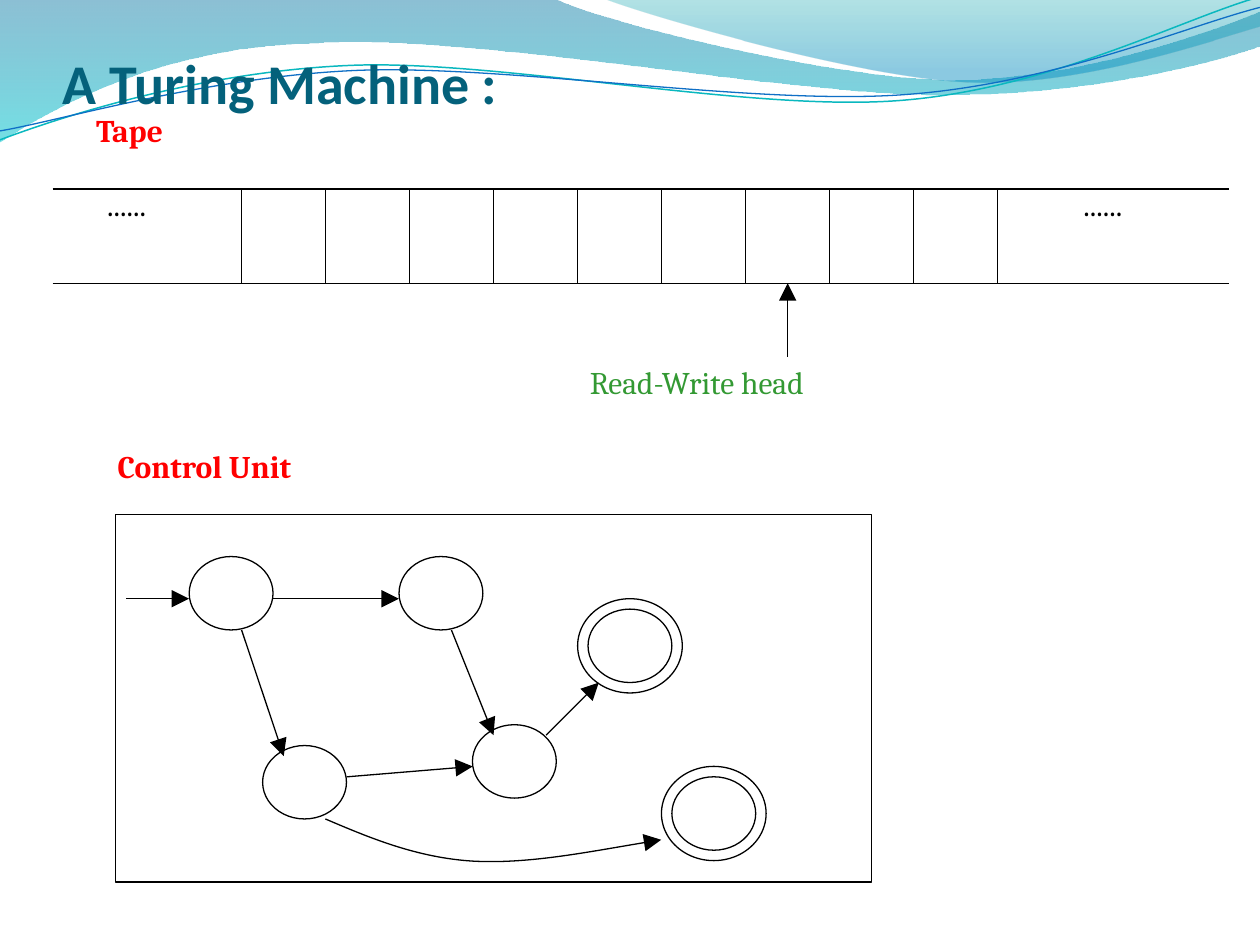
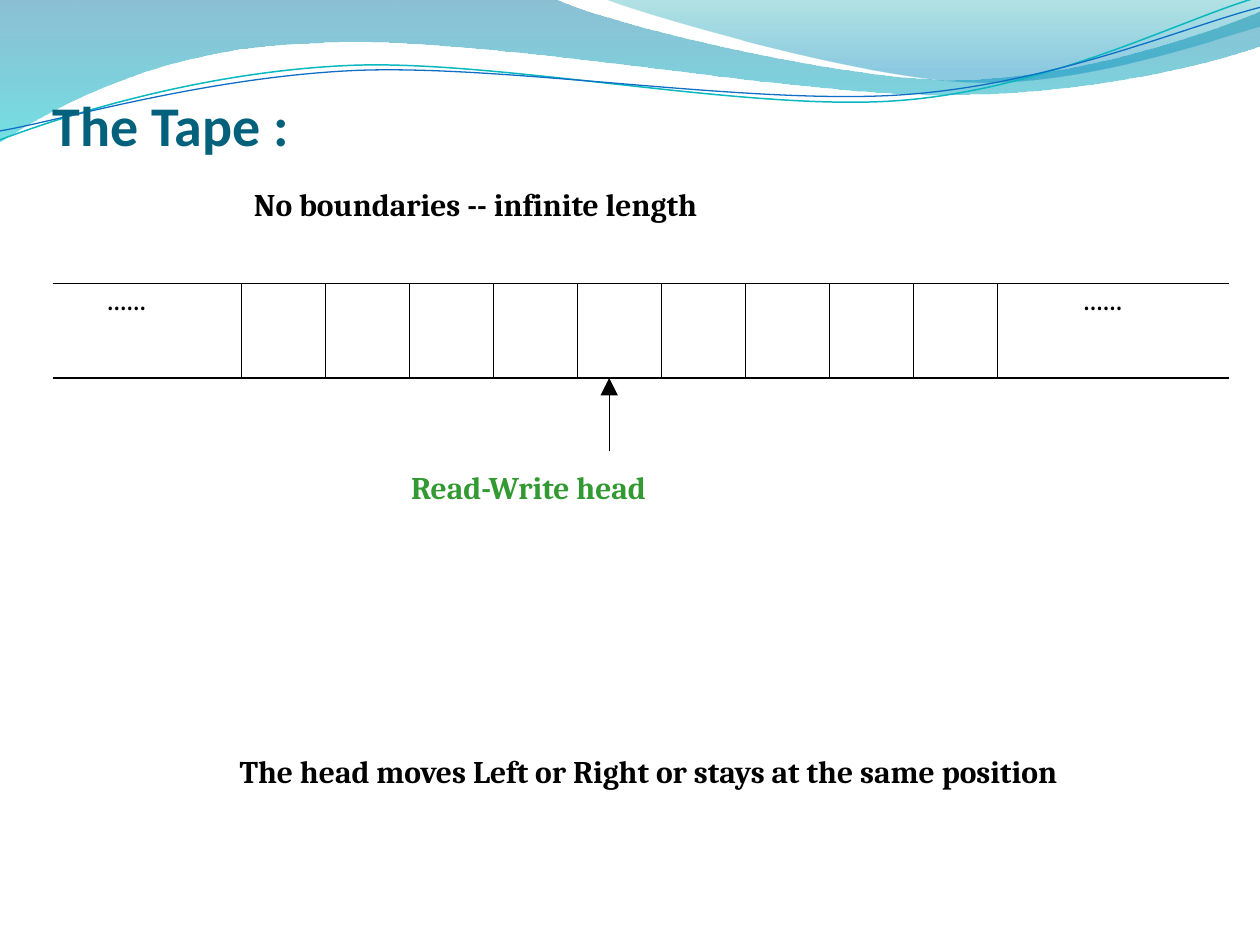
from dataclasses import dataclass
from itertools import chain

from lxml import etree
from pptx import Presentation
from pptx.dml.color import RGBColor
from pptx.enum import shapes as kinds, text as texts
from pptx.oxml import ns
from pptx.util import Cm, Pt

Point = tuple[float, float]


@dataclass(frozen=True)
class Theme:
    """Colours, fonts and sizes shared by the slides."""
    title: str = "04617B"
    ink: str = "000000"
    label: str = "FF0000"
    head: str = "339933"
    title_font: str = "Calibri"
    body_font: str = "Cambria"
    title_size: float = 32
    body_size: float = 18
    line_width: float = 0.75


THEME = Theme()


@dataclass(frozen=True)
class Stop:
    """A gradient stop with its opacity in percent."""
    position: float
    colour: str
    opacity: int


@dataclass(frozen=True)
class Outline:
    """A path whose steps hold one point (line) or three (curve)."""
    start: Point
    steps: tuple[tuple[Point, ...], ...]
    stops: tuple[Stop, ...] = ()
    colour: str = THEME.ink
    width: float = THEME.line_width
    arrow: bool = False


@dataclass(frozen=True)
class Label:
    """A line of body text at a place on the slide."""
    words: str
    left: float
    top: float
    width: float
    height: float = 1.02
    colour: str = THEME.ink
    bold: bool = True


@dataclass(frozen=True)
class State:
    """A state of the automaton, placed by its centre."""
    x: float
    y: float
    accepting: bool = False


@dataclass(frozen=True)
class Arrow:
    """A straight arrow between two points."""
    start: Point
    end: Point


WAVES = (
    Outline((0, 0), (
        ((11.18, -0.03),),
        ((12.09, 0.43), (16.87, 1.6), (19.25, 1.6)),
        ((21.67, 1.6), (24.33, 0.66), (25.4, 0.23)),
        ((25.43, 0.91),),
        ((24.97, 1.12), (22.1, 1.93), (18.95, 1.91)),
        ((15.8, 1.91), (9.7, 0.71), (6.53, 0.86)),
        ((3.28, 0.91), (1.17, 2.11), (-0.03, 2.87)),
    ), stops=(Stop(0, "0074A1", 45), Stop(1, "00C6CF", 55))),
    Outline((12.17, -0.03), (
        ((12.93, 0.28), (17.32, 1.57), (19.53, 1.65)),
        ((21.74, 1.75), (24.41, 0.81), (25.4, 0.53)),
        ((25.4, 0),),
    ), stops=(Stop(0, "00A1A9", 30), Stop(0.8, "008BBF", 45))),
    Outline((0, 2.82), (
        ((1.22, 2.36), (4.01, 1.45), (7.04, 1.32)),
        ((10.03, 1.19), (15.06, 2.26), (18.11, 2.03)),
        ((21.16, 1.8), (23.83, 0.38), (25.35, -0.05)),
    ), colour="0AB8BF", width=0.85),
    Outline((0, 2.64), (
        ((1.19, 2.44), (4.17, 1.55), (7.19, 1.42)),
        ((10.24, 1.3), (15.16, 2.13), (18.21, 1.91)),
        ((21.23, 1.7), (23.9, 0.53), (25.4, 0.15)),
    ), colour="0F6FC6"),
)

TAPE_LEFT, TAPE_RIGHT, TAPE_HEIGHT = 1.06, 24.77, 1.9
CELLS_LEFT, CELLS_RIGHT, CELL_COUNT = 4.87, 20.11, 9
DOTS_LEFTS = (21.59, 1.91)
STATE_WIDTH, STATE_HEIGHT, RING_GAP = 1.69, 1.48, 0.21

STATES = (
    State(4.66, 11.96),
    State(8.89, 11.96),
    State(10.37, 15.35),
    State(6.14, 15.77),
    State(12.7, 13.02, accepting=True),
    State(14.39, 16.4, accepting=True),
)
TRANSITIONS = (
    Arrow((2.54, 12.07), (3.81, 12.07)),
    Arrow((5.5, 12.07), (8.04, 12.07)),
    Arrow((9.1, 12.7), (9.95, 14.82)),
    Arrow((11.01, 14.82), (12.07, 13.76)),
    Arrow((4.87, 12.7), (5.72, 15.24)),
    Arrow((6.99, 15.66), (9.53, 15.45)),
)
CURVED_TRANSITION = Outline((6.56, 16.51), (
    ((7.47, 16.9), (8.41, 17.29), (9.53, 17.36)),
    ((10.64, 17.42), (11.98, 17.15), (13.33, 16.93)),
), arrow=True)


def style_line(shape, colour: str, width: float, arrow: bool = False) -> None:
    """Colour a line and give it an arrowhead when asked."""
    shape.line.color.rgb = RGBColor.from_string(colour)
    shape.line.width = Pt(width)
    if arrow:
        line = shape.line._get_or_add_ln()
        etree.SubElement(line, ns.qn("a:tailEnd"), type="triangle", w="lg", len="lg")


def fill_gradient(shape, stops: tuple[Stop, ...]) -> None:
    """Fill a shape with a vertical translucent gradient."""
    shape.fill.gradient()
    shape.fill.gradient_angle = 270
    for target, stop in zip(shape.fill.gradient_stops, stops):
        target.position = stop.position
        target.color.rgb = RGBColor.from_string(stop.colour)
    colours = list(shape._element.iter(ns.qn("a:srgbClr")))
    for colour, stop in zip(colours, stops):
        etree.SubElement(colour, ns.qn("a:alpha"), val=str(stop.opacity * 1000))
    shape.line.fill.background()


def draw_outline(page, outline: Outline) -> None:
    """Draw a path, turning each three-point step into a curve."""
    closed = bool(outline.stops)
    start_x, start_y = outline.start
    points = [(Cm(x), Cm(y)) for x, y in chain.from_iterable(outline.steps)]
    builder = page.shapes.build_freeform(Cm(start_x), Cm(start_y))
    builder.add_line_segments(points, close=closed)
    shape = builder.convert_to_shape()
    shape.shadow.inherit = False
    segments = iter(list(shape._element.iter(ns.qn("a:lnTo"))))
    for step in outline.steps:
        parts = [next(segments) for _ in step]
        if len(parts) == 3:
            curve = etree.Element(ns.qn("a:cubicBezTo"))
            parts[0].addprevious(curve)
            for part in parts:
                curve.append(part[0])
                part.getparent().remove(part)
    if closed:
        fill_gradient(shape, outline.stops)
    else:
        shape.fill.background()
        style_line(shape, outline.colour, outline.width, outline.arrow)


def draw_line(page, start: Point, end: Point, arrow: bool = False) -> None:
    """Draw a thin straight line or arrow."""
    ends = [Cm(value) for value in (*start, *end)]
    line = page.shapes.add_connector(kinds.MSO_CONNECTOR.STRAIGHT, *ends)
    style_line(line, THEME.ink, THEME.line_width, arrow)
    etree.SubElement(line._element.spPr, ns.qn("a:effectLst"))


def draw_shape(page, kind, left: float, top: float, width: float, height: float) -> None:
    """Draw an unfilled shape with a thin line."""
    shape = page.shapes.add_shape(kind, Cm(left), Cm(top), Cm(width), Cm(height))
    shape.shadow.inherit = False
    shape.fill.background()
    style_line(shape, THEME.ink, THEME.line_width)


def set_font(para, name: str, size: float, colour: str, bold: bool) -> None:
    """Set the font of a paragraph."""
    para.font.name = name
    para.font.size = Pt(size)
    para.font.bold = bold
    para.font.color.rgb = RGBColor.from_string(colour)


def draw_label(page, label: Label) -> None:
    """Draw one line of body text."""
    box = page.shapes.add_textbox(
        Cm(label.left), Cm(label.top), Cm(label.width), Cm(label.height))
    frame = box.text_frame
    frame.word_wrap = False
    frame.auto_size = texts.MSO_AUTO_SIZE.SHAPE_TO_FIT_TEXT
    para = frame.paragraphs[0]
    para.text = label.words
    set_font(para, THEME.body_font, THEME.body_size, label.colour, label.bold)


def draw_title(page, words: str, left: float, top: float) -> None:
    """Draw the slide title, resting on the bottom of its box."""
    box = page.shapes.add_textbox(Cm(left), Cm(top), Cm(23.06), Cm(3.18))
    frame = box.text_frame
    frame.word_wrap = True
    frame.vertical_anchor = texts.MSO_ANCHOR.BOTTOM
    frame.margin_left = frame.margin_right = frame.margin_bottom = 0
    para = frame.paragraphs[0]
    para.text = words
    set_font(para, THEME.title_font, THEME.title_size, THEME.title, True)


def draw_tape(page, top: float, head_x: float) -> None:
    """Draw the tape, its cells and the arrow of the head."""
    bottom = top + TAPE_HEIGHT
    for y in (top, bottom):
        draw_line(page, (TAPE_LEFT, y), (TAPE_RIGHT, y))
    cell_width = (CELLS_RIGHT - CELLS_LEFT) / CELL_COUNT
    for index in range(CELL_COUNT + 1):
        x = CELLS_LEFT + index * cell_width
        draw_line(page, (x, top), (x, bottom))
    for left in DOTS_LEFTS:
        draw_label(page, Label("......", left, top - 0.21, 2.21, 1.6, bold=False))
    draw_line(page, (head_x, bottom + 1.48), (head_x, bottom), arrow=True)


def draw_state(page, state: State) -> None:
    """Draw a state, with a second ring when it accepts."""
    for gap in (0, RING_GAP) if state.accepting else (0,):
        width, height = STATE_WIDTH + 2 * gap, STATE_HEIGHT + 2 * gap
        draw_shape(page, kinds.MSO_SHAPE.OVAL,
                   state.x - width / 2, state.y - height / 2, width, height)


def draw_control_unit(page) -> None:
    """Draw the automaton inside its frame."""
    draw_shape(page, kinds.MSO_SHAPE.RECTANGLE, 2.33, 10.37, 15.24, 7.41)
    for state in STATES:
        draw_state(page, state)
    for arrow in TRANSITIONS:
        draw_line(page, arrow.start, arrow.end, arrow=True)
    draw_outline(page, CURVED_TRANSITION)


def add_page(deck, title: str, left: float, top: float, labels: tuple[Label, ...]):
    """Add a slide with the waves, a title and labels."""
    page = deck.slides.add_slide(deck.slide_layouts[6])
    for wave in WAVES:
        draw_outline(page, wave)
    draw_title(page, title, left, top)
    for label in labels:
        draw_label(page, label)
    return page


def main() -> None:
    """Build and save the deck."""
    deck = Presentation()
    deck.slide_width, deck.slide_height = Cm(25.4), Cm(19.05)
    machine = add_page(deck, "A Turing Machine :", 1.27, -0.85, (
        Label("Tape", 1.69, 2.12, 1.96, colour=THEME.label),
        Label("Read-Write head", 11.64, 7.2, 9.58, 1.6, THEME.head, bold=False),
        Label("Control Unit", 2.12, 8.89, 4.47, colour=THEME.label),
    ))
    draw_control_unit(machine)
    draw_tape(machine, top=3.81, head_x=15.88)
    tape = add_page(deck, "The Tape :", 1.06, 0, (
        Label("No boundaries -- infinite length", 4.87, 3.6, 10.08),
        Label("Read-Write head", 8.04, 9.31, 5.56, colour=THEME.head),
        Label("The head moves Left or Right or stays at the same position",
              4.58, 15.03, 17.9),
    ))
    draw_tape(tape, top=5.72, head_x=12.28)
    deck.save("out.pptx")


if __name__ == "__main__":
    main()
